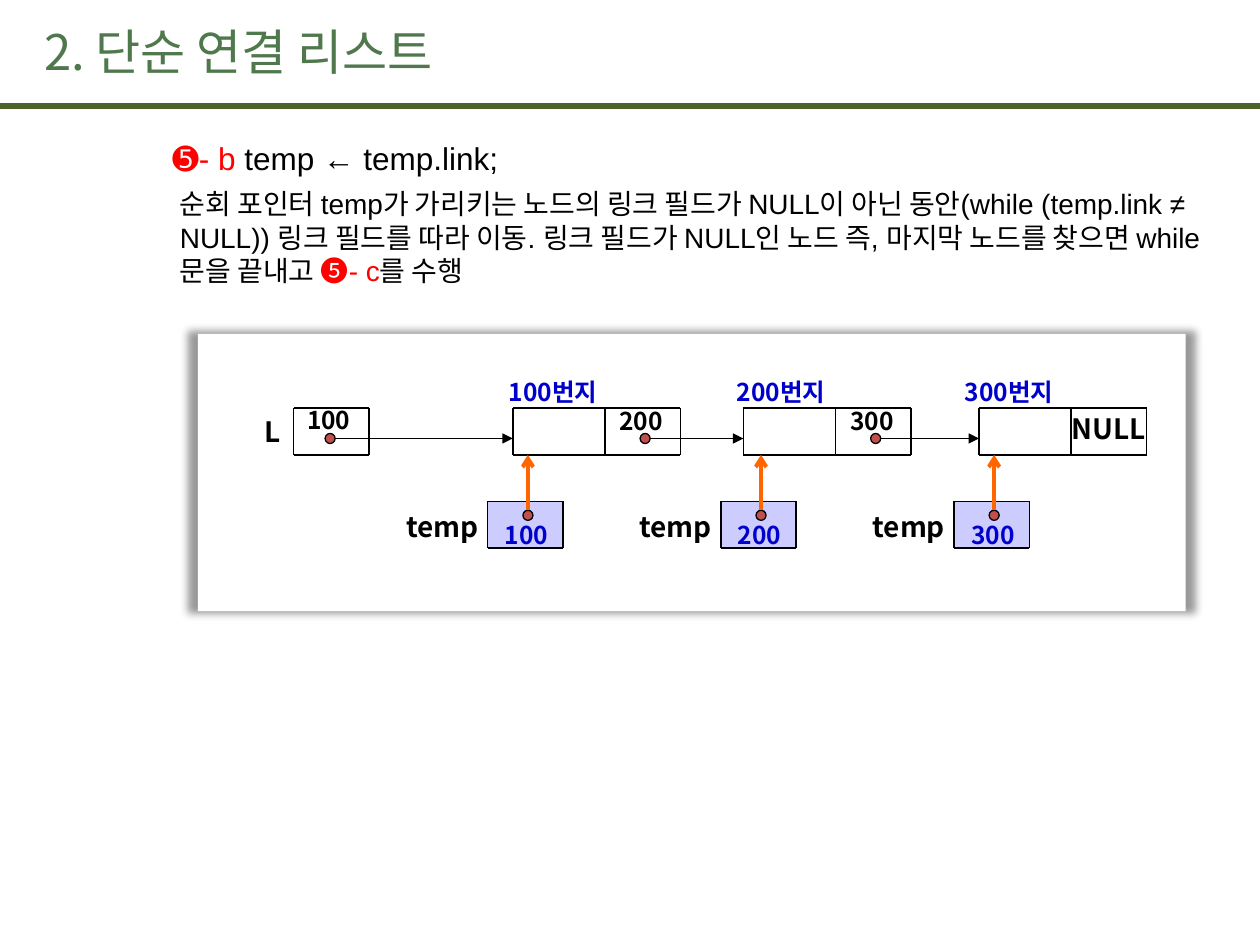
from dataclasses import dataclass

from lxml import etree
from pptx import Presentation
from pptx import util as u
from pptx.dml.color import RGBColor
from pptx.enum import shapes, text
from pptx.oxml import parse_xml
from pptx.oxml.ns import nsdecls, qn


@dataclass(frozen=True)
class Theme:
    latin: str = "Arial"
    korean: str = "Noto Sans CJK KR"
    title: str = "4F784C"
    rule: str = "4F6228"
    ink: str = "000000"
    paper: str = "FFFFFF"
    step: str = "FF0000"
    address: str = "0000CC"
    pointer: str = "CCCCFF"
    dot: str = "C0504D"
    follow: str = "FF6600"
    title_size: int = 28
    code_size: int = 18
    body_size: int = 16
    value_size: int = 14


T = Theme()

TITLE = "2. 단순 연결 리스트"
CODE = [("➎- b ", T.step), ("temp ← temp.link;", T.ink)]
EXPLANATION = [
    ("순회 포인터 temp가 가리키는 노드의 링크 필드가 NULL이 아닌 동안"
     "(while (temp.link ≠ NULL)) 링크 필드를 따라 이동. 링크 필드가 NULL인 노드 즉, "
     "마지막 노드를 찾으면 while 문을 끝내고 ", T.ink),
    ("➎- c", T.step),
    ("를 수행", T.ink),
]
HEAD = ("L", "100")
NODES = [("100", "200", 4.07), ("200", "300", 5.9), ("300", "NULL", 7.77)]

PITCH = 1.85
HEAD_LEFT, POINTER_LEFT, ADDRESS_CENTRE = 2.33, 3.87, 4.39
NODE_TOP, POINTER_TOP = 3.24, 3.98
DATA_W, LINK_W, CELL_H = 0.73, 0.6, 0.37
LINK_Y = 3.48
DOT = 0.08
LINK_DOT, LINK_VALUE = 1.05, 1.02
POINTER_DOT = 0.32

prs = Presentation()
prs.slide_width, prs.slide_height = u.Inches(10), u.Inches(7.5)
slide = prs.slides.add_slide(prs.slide_layouts[5])


def inches(*lengths):
    return [u.Inches(length) for length in lengths]


def add_run(paragraph, words, size, colour, font=T.korean, bold=False):
    run = paragraph.add_run()
    run.text = words
    run.font.size, run.font.bold, run.font.name = u.Pt(size), bold, font
    run.font.color.rgb = RGBColor.from_string(colour)
    run.font._element.set("kern", "0")
    if font == T.korean:
        latin = run.font._element.find(qn("a:latin"))
        latin.addnext(parse_xml(f'<a:ea {nsdecls("a")} typeface="{font}"/>'))


def add_label(words, centre, middle, size=T.value_size, colour=T.ink,
              width=0.56, height=0.18, align=text.PP_ALIGN.CENTER):
    label = slide.shapes.add_textbox(
        *inches(centre - width / 2, middle - height / 2, width, height))
    frame = label.text_frame
    frame.word_wrap = True
    frame.margin_left = frame.margin_right = frame.margin_top = frame.margin_bottom = 0
    frame.vertical_anchor = text.MSO_ANCHOR.MIDDLE
    frame.paragraphs[0].alignment = align
    add_run(frame.paragraphs[0], words, size, colour, bold=True)


def add_name(words, right, middle, width):
    add_label(words, right - width / 2, middle, T.body_size, width=width,
              height=CELL_H, align=text.PP_ALIGN.RIGHT)


def add_figure(kind, left, top, width, height, fill, line=None):
    figure = slide.shapes.add_shape(kind, *inches(left, top, width, height))
    figure.shadow.inherit = False
    figure.fill.solid()
    figure.fill.fore_color.rgb = RGBColor.from_string(fill)
    if line:
        figure.line.color.rgb = RGBColor.from_string(line)
        figure.line.width = u.Pt(0.75)
    else:
        figure.line.fill.background()
    return figure


def add_dot(centre, middle):
    add_figure(shapes.MSO_SHAPE.OVAL, centre - DOT / 2, middle - DOT / 2, DOT, DOT,
               T.dot, T.ink)


def add_line(start, end, colour=T.ink, weight=1, arrowhead=None):
    line = slide.shapes.add_connector(
        shapes.MSO_CONNECTOR.STRAIGHT, *inches(*start, *end))
    line.line.color.rgb = RGBColor.from_string(colour)
    line.line.width = u.Pt(weight)
    if arrowhead:
        etree.SubElement(line.line._get_or_add_ln(), qn("a:tailEnd"), type=arrowhead)
    etree.SubElement(line._element.spPr, qn("a:effectLst"))


def add_cells(left, top, *widths):
    edges = [left + sum(widths[:count]) for count in range(len(widths) + 1)]
    for y in (top, top + CELL_H):
        add_line((edges[0], y), (edges[-1], y))
    for x in edges:
        add_line((x, top), (x, top + CELL_H))


def add_link(dot_x, target_x):
    add_line((dot_x + DOT / 2, LINK_Y), (target_x, LINK_Y), weight=0.75,
             arrowhead="triangle")
    add_dot(dot_x, LINK_Y)


add_line((0, 0.84), (10, 0.84), T.rule, 3.75)

title = slide.shapes.title
title.left, title.top, title.width, title.height = inches(0.25, 0.09, 8.27, 0.63)
title.text_frame.vertical_anchor = text.MSO_ANCHOR.MIDDLE
heading = title.text_frame.paragraphs[0]
heading.alignment = text.PP_ALIGN.LEFT
add_run(heading, TITLE, T.title_size, T.title)

body = slide.shapes.add_textbox(*inches(0.25, 1.02, 9.5, 6.25)).text_frame
body.word_wrap = True
code, explanation = body.paragraphs[0], body.add_paragraph()
for paragraph, runs, size, indent, spacing in (
        (code, CODE, T.code_size, -0.06, 1.1),
        (explanation, EXPLANATION, T.body_size, 0, 1.0)):
    paragraph.line_spacing = spacing
    paragraph.space_after = u.Pt(3)
    properties = paragraph._p.get_or_add_pPr()
    properties.set("marL", str(u.Inches(1.08)))
    properties.set("indent", str(u.Inches(indent)))
    for words, colour in runs:
        add_run(paragraph, words, size, colour, T.latin)
explanation.space_before = u.Pt(3)

panel = add_figure(shapes.MSO_SHAPE.RECTANGLE, 1.57, 2.65, 7.84, 2.2, T.paper)
panel._element.spPr.find(qn("a:effectLst")).append(parse_xml(
    f'<a:outerShdw {nsdecls("a")} blurRad="{u.Pt(5)}" dist="0" sx="102000" sy="102000" '
    f'algn="ctr" rotWithShape="0"><a:srgbClr val="{T.ink}"><a:alpha val="40000"/>'
    '</a:srgbClr></a:outerShdw>'))

head_name, head_value = HEAD
head_centre = HEAD_LEFT + LINK_W / 2
add_name(head_name, HEAD_LEFT - 0.1, NODE_TOP + CELL_H / 2, 0.21)
add_cells(HEAD_LEFT, NODE_TOP, LINK_W)
add_label(head_value, head_centre - 0.02, NODE_TOP + 0.09)
add_link(head_centre - 0.01, NODES[0][2])

for index, (address, link, node) in enumerate(NODES):
    pointer = POINTER_LEFT + index * PITCH
    add_cells(node, NODE_TOP, DATA_W, LINK_W)
    add_label(f"{address}번지", ADDRESS_CENTRE + index * 1.81, NODE_TOP - 0.13,
              colour=T.address, width=0.96)
    if link == "NULL":
        add_label(link, node + DATA_W + LINK_W / 2, NODE_TOP + 0.16, T.body_size,
                  width=0.65, height=CELL_H)
    else:
        add_label(link, node + LINK_VALUE, NODE_TOP + 0.1)
        add_link(node + LINK_DOT, NODES[index + 1][2])

    stem, dot_y = pointer + POINTER_DOT, POINTER_TOP + 0.11
    add_figure(shapes.MSO_SHAPE.RECTANGLE, pointer + 0.01, POINTER_TOP, 0.58, 0.36,
               T.pointer, T.pointer)
    add_name("temp", pointer - 0.07, POINTER_TOP + 0.2, 0.65)
    add_cells(pointer, POINTER_TOP, LINK_W)
    add_dot(stem, dot_y)
    add_line((stem, dot_y - DOT / 2), (stem, NODE_TOP + CELL_H), T.follow, 2.25, "arrow")
    add_label(address, stem - 0.01, POINTER_TOP + 0.26, colour=T.address)

prs.save("out.pptx")
